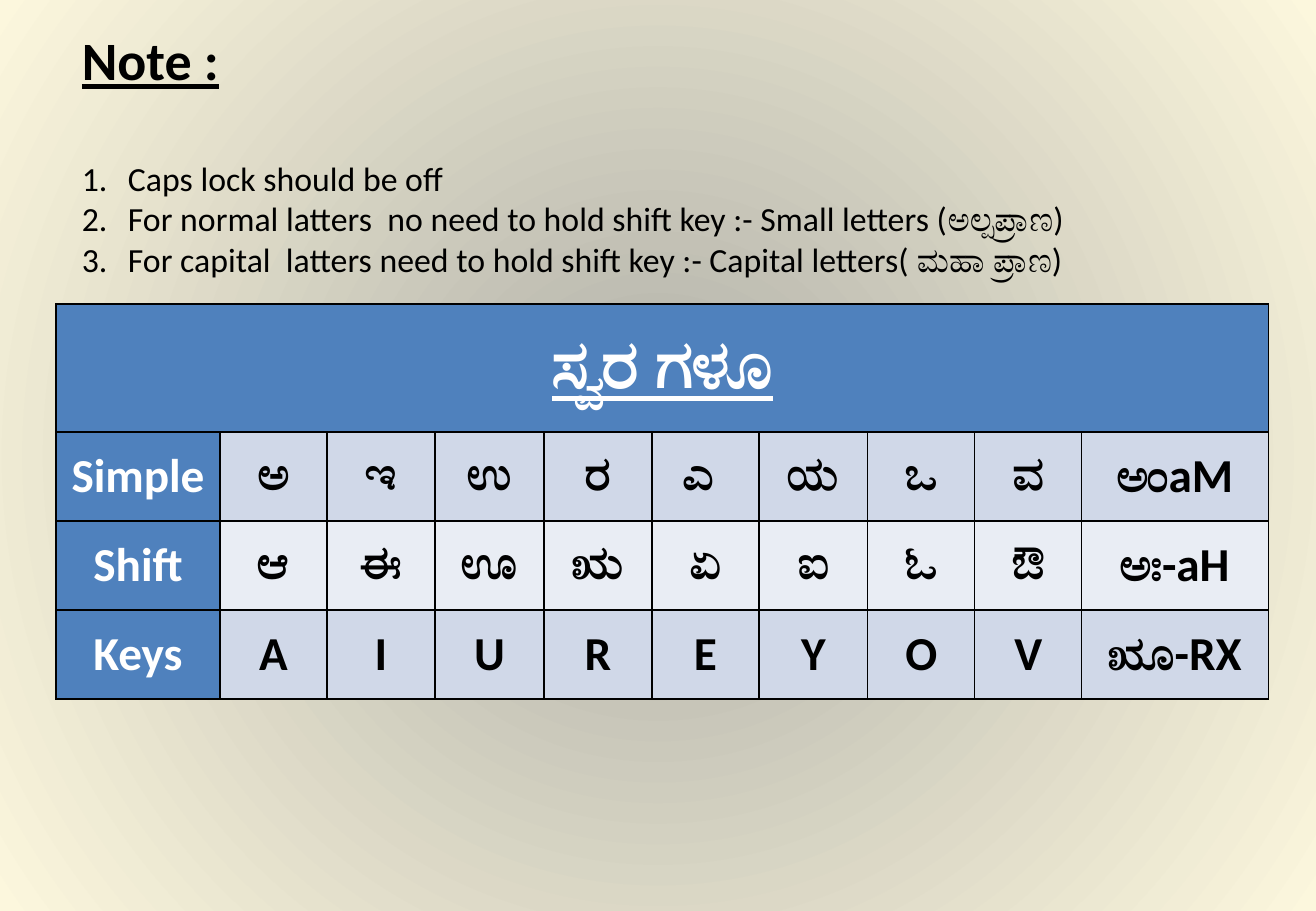
"""Build the slide of Kannada vowel keys."""
from dataclasses import dataclass
from typing import Any

from lxml import etree
from pptx import Presentation
from pptx.dml.color import RGBColor
from pptx.enum.text import MSO_ANCHOR, PP_ALIGN
from pptx.oxml.ns import qn
from pptx.slide import Slide
from pptx.util import Emu, Pt

MIDDLE = MSO_ANCHOR.MIDDLE
TOP = MSO_ANCHOR.TOP
CENTER = PP_ALIGN.CENTER
EMU_PER_PX = 914400 / 121.5


@dataclass(frozen=True)
class Theme:
    font: str = "Calibri"
    black: str = "000000"
    white: str = "FFFFFF"
    blue: str = "4F81BD"
    band_dark: str = "D0D8E8"
    band_light: str = "E9EDF4"
    glow_center: str = "B7B6AD"
    glow_edge: str = "FCF7DD"
    note_size: int = 32
    list_size: int = 20
    title_size: int = 40
    cell_size: int = 28
    list_gap: int = 39
    border_width: int = 1


@dataclass(frozen=True)
class TextStyle:
    size: int
    color: str
    bold: bool = False
    underline: bool = False


@dataclass(frozen=True)
class KeyRow:
    label: str
    letters: tuple[str, ...]
    fill: str


THEME = Theme()
NOTE = TextStyle(THEME.note_size, THEME.black, True, True)
RULE = TextStyle(THEME.list_size, THEME.black)
TITLE = TextStyle(THEME.title_size, THEME.white, True, True)
LABEL = TextStyle(THEME.cell_size, THEME.white, True)
LETTER = TextStyle(THEME.cell_size, THEME.black, True)

RULES = (
    "Caps lock should be off",
    "For normal latters  no need to hold shift key :- Small letters (ಅಲ್ಪಪ್ರಾಣ)",
    "For capital  latters need to hold shift key :- Capital letters( ಮಹಾ ಪ್ರಾಣ)",
)
TABLE_TITLE = "ಸ್ವರ ಗಳೂ"
KEY_ROWS = (
    KeyRow("Simple", ("ಅ", "ಇ", "ಉ", "ರ", "ಎ ", "ಯ", "ಒ", "ವ", "ಅಂaM"), THEME.band_dark),
    KeyRow("Shift", ("ಆ", "ಈ", "ಊ", "ಋ", "ಏ", "ಐ", "ಓ", "ಔ", "ಅಃ-aH"), THEME.band_light),
    KeyRow("Keys", ("A", "I", "U", "R", "E", "Y", "O", "V", "ೠ-RX"), THEME.band_dark),
)
COLUMN_WIDTHS = (164, 107, 108, 109, 108, 107, 109, 107, 107, 187)
ROW_HEIGHTS = (128, 89, 89, 89)


def px(length: int) -> Emu:
    """Turn pixels into EMU."""
    return Emu(round(length * EMU_PER_PX))


def apply_format(target: Any, values: dict[str, Any]) -> None:
    """Set every named attribute on the target."""
    for name, value in values.items():
        setattr(target, name, value)


def add_text(paragraph: Any, text: str, style: TextStyle) -> None:
    """Add one styled run to a paragraph."""
    run = paragraph.add_run()
    run.text = text
    apply_format(run.font, {
        "name": THEME.font,
        "size": Pt(style.size),
        "bold": style.bold,
        "underline": style.underline,
    })
    run.font.color.rgb = RGBColor.from_string(style.color)


def paint_background(slide: Slide) -> None:
    """Fill the slide with a circular glow."""
    fill = slide.background.fill
    fill.gradient()
    stops = ((0.1, THEME.glow_center), (1.0, THEME.glow_edge))
    for stop, (position, color) in zip(fill.gradient_stops, stops):
        stop.position = position
        stop.color.rgb = RGBColor.from_string(color)
    gradient = slide.element.find(".//" + qn("a:gradFill"))
    edge_color = gradient.findall(".//" + qn("a:srgbClr"))[-1]
    etree.SubElement(edge_color, qn("a:alpha"), val="80000")
    linear = gradient.find(qn("a:lin"))
    circle = etree.Element(qn("a:path"), path="circle")
    sides = {side: "50000" for side in "ltrb"}
    etree.SubElement(circle, qn("a:fillToRect"), sides)
    gradient.replace(linear, circle)


def number_paragraph(paragraph: Any) -> None:
    """Give a paragraph automatic numbering with a hanging indent."""
    properties = paragraph._p.get_or_add_pPr()
    indent = px(46)
    properties.set("marL", str(indent))
    properties.set("indent", str(-indent))
    etree.SubElement(properties, qn("a:buAutoNum"), type="arabicPeriod")


def add_notes_box(slide: Slide) -> None:
    """Add the heading and the numbered typing rules."""
    box = slide.shapes.add_textbox(px(70), px(21), px(1175), px(294))
    frame = box.text_frame
    apply_format(frame, {"word_wrap": True, "vertical_anchor": TOP})
    add_text(frame.paragraphs[0], "Note :", NOTE)
    for index, rule in enumerate(RULES):
        paragraph = frame.add_paragraph()
        number_paragraph(paragraph)
        paragraph.space_before = Pt(0 if index else THEME.list_gap)
        add_text(paragraph, rule, RULE)


def add_borders(cell: Any) -> None:
    """Draw a thin line on all four sides of a cell."""
    properties = cell._tc.get_or_add_tcPr()
    for side in "LRTB":
        line = etree.SubElement(
            properties, qn(f"a:ln{side}"), w=str(Pt(THEME.border_width)))
        solid = etree.SubElement(line, qn("a:solidFill"))
        etree.SubElement(solid, qn("a:srgbClr"), val=THEME.black)


def format_cell(cell: Any, fill: str) -> None:
    """Give a cell its borders, fill, insets and anchor."""
    add_borders(cell)
    cell.fill.solid()
    cell.fill.fore_color.rgb = RGBColor.from_string(fill)
    apply_format(cell, {
        "margin_left": px(9),
        "margin_right": px(9),
        "margin_top": 0,
        "margin_bottom": 0,
        "vertical_anchor": MIDDLE,
    })


def write_cell(cell: Any, text: str, style: TextStyle) -> None:
    """Write centred text into a cell."""
    paragraph = cell.text_frame.paragraphs[0]
    paragraph.alignment = CENTER
    add_text(paragraph, text, style)


def add_key_table(slide: Slide) -> None:
    """Add the table of vowels and their keys."""
    table = slide.shapes.add_table(
        len(ROW_HEIGHTS), len(COLUMN_WIDTHS), px(56), px(304),
        px(sum(COLUMN_WIDTHS)), px(sum(ROW_HEIGHTS))).table
    for column, width in zip(table.columns, COLUMN_WIDTHS):
        column.width = px(width)
    for row, height in zip(table.rows, ROW_HEIGHTS):
        row.height = px(height)
    for cell in table.rows[0].cells:
        format_cell(cell, THEME.blue)
    title_cell = table.cell(0, 0)
    title_cell.merge(table.cell(0, len(COLUMN_WIDTHS) - 1))
    write_cell(title_cell, TABLE_TITLE, TITLE)
    for row_index, key_row in enumerate(KEY_ROWS, start=1):
        for column_index, text in enumerate((key_row.label, *key_row.letters)):
            cell = table.cell(row_index, column_index)
            format_cell(cell, key_row.fill if column_index else THEME.blue)
            write_cell(cell, text, LETTER if column_index else LABEL)


def main() -> None:
    """Build and save the presentation."""
    presentation = Presentation()
    apply_format(presentation, {"slide_width": px(1316), "slide_height": px(911)})
    slide = presentation.slides.add_slide(presentation.slide_layouts[6])
    paint_background(slide)
    add_notes_box(slide)
    add_key_table(slide)
    presentation.save("out.pptx")


if __name__ == "__main__":
    main()
